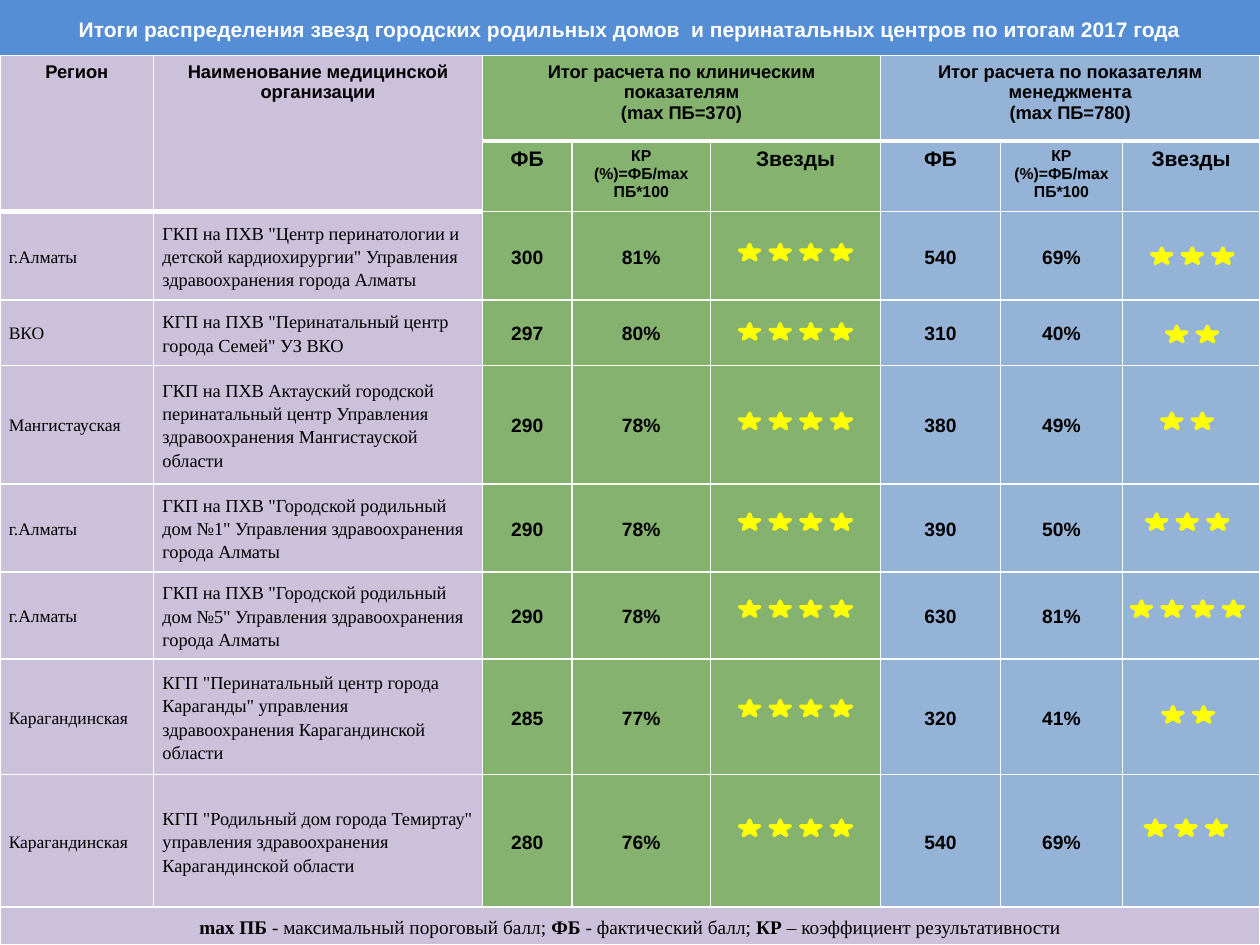
from pptx import Presentation
from pptx.dml.color import RGBColor
from pptx.enum.shapes import MSO_SHAPE
from pptx.enum.text import MSO_ANCHOR, PP_ALIGN
from pptx.oxml.ns import qn
from pptx.util import Inches, Pt
from lxml.etree import SubElement

COLORS = {"title": "558ED5", "name": "CCC1DA", "clinic": "85B26E", "manage": "95B3D7",
          "star": "FFFF00", "white": "FFFFFF", "black": "000000"}
SANS, SERIF = "Arial", "Times New Roman"

# Content
TITLE = "Итоги распределения звезд городских родильных домов  и перинатальных центров по итогам 2017 года"
# column: (rows spanned, columns spanned, lines)
HEADS = {
    0: (2, 1, ["Регион"]),
    1: (2, 1, ["Наименование медицинской организации"]),
    2: (1, 3, ["Итог расчета по клиническим показателям", "(mах ПБ=370)"]),
    5: (1, 3, ["Итог расчета по показателям менеджмента", "(mах ПБ=780)"]),
}
SUBHEADS = [("ФБ", 12), ("КР (%)=ФБ/mах ПБ*100", 9), ("Звезды", 12),
            ("ФБ", 12), ("КР (%)=ФБ/mахПБ*100", 9), ("Звезды", 12)]
# region, organisation, clinical score and rate, management score and rate
ROWS = [
    ("г.Алматы", "ГКП на ПХВ \"Центр перинатологии и детской кардиохирургии\" Управления "
     "здравоохранения города Алматы", "300", "81%", "540", "69%"),
    ("ВКО", "КГП на ПХВ \"Перинатальный центр города Семей\" УЗ ВКО", "297", "80%", "310", "40%"),
    ("Мангистауская", "ГКП на ПХВ Актауский городской перинатальный центр Управления "
     "здравоохранения Мангистауской области", "290", "78%", "380", "49%"),
    ("г.Алматы", "ГКП на ПХВ \"Городской родильный дом №1\" Управления здравоохранения "
     "города Алматы", "290", "78%", "390", "50%"),
    ("г.Алматы", "ГКП на ПХВ \"Городской родильный дом №5\" Управления здравоохранения "
     "города Алматы", "290", "78%", "630", "81%"),
    ("Карагандинская", "КГП \"Перинатальный центр города Караганды\" управления "
     "здравоохранения Карагандинской области", "285", "77%", "320", "41%"),
    ("Карагандинская", "КГП \"Родильный дом города Темиртау\" управления "
     "здравоохранения Карагандинской области", "280", "76%", "540", "69%"),
]
LEGEND = [("mах ПБ ", True), ("- максимальный пороговый балл; ", False), ("ФБ", True),
          (" - фактический балл; ", False), ("КР", True),
          (" – коэффициент результативности", False)]
# per row: clinical (count, left, top), management (count, left, top)
STARS = [
    ((4, 5.87, 1.94), (3, 9.14, 1.97)),
    ((4, 5.87, 2.57), (2, 9.26, 2.59)),
    ((4, 5.87, 3.28), (2, 9.22, 3.28)),
    ((4, 5.87, 4.08), (3, 9.10, 4.08)),
    ((4, 5.87, 4.77), (4, 8.98, 4.77)),
    ((4, 5.87, 5.56), (2, 9.23, 5.61)),
    ((4, 5.87, 6.51), (3, 9.09, 6.51)),
]
COL_W = [1.22, 2.61, 0.71, 1.1, 1.35, 0.95, 0.97, 1.09]
ROW_H = [0.68, 0.56, 0.7, 0.52, 0.94, 0.7, 0.69, 0.92, 1.05, 0.3]
COL_FILL = ["name"] * 2 + ["clinic"] * 3 + ["manage"] * 3
STAR_W, STAR_H, STAR_STEP = 0.16, 0.12, 0.243


def rgb(name):
    return RGBColor.from_string(COLORS[name])


def add_run(p, text, size, name=SANS, bold=True, color="black"):
    r = p.add_run()
    r.text = text
    for key, value in {"size": Pt(size), "name": name, "bold": bold}.items():
        setattr(r.font, key, value)
    r.font.color.rgb = rgb(color)


def style_cell(cell, fill, bottom):
    for side in ("L", "R", "T", "B"):
        width = bottom if side == "B" else 1
        ln = SubElement(cell._tc.get_or_add_tcPr(), qn(f"a:ln{side}"), w=str(Pt(width)))
        SubElement(SubElement(ln, qn("a:solidFill")), qn("a:srgbClr"), val=COLORS["white"])
    cell.fill.solid()
    cell.fill.fore_color.rgb = rgb(fill)


def body_paragraph(cell, align):
    for key, value in {"vertical_anchor": MSO_ANCHOR.MIDDLE,
                       "margin_left": Inches(0.07), "margin_right": Inches(0.07),
                       "margin_top": 0, "margin_bottom": 0}.items():
        setattr(cell, key, value)
    p = cell.text_frame.paragraphs[0]
    p.alignment, p.line_spacing = align, 1.15
    return p


prs = Presentation()
prs.slide_width, prs.slide_height = Inches(10), Inches(7.5)
s = prs.slides.add_slide(prs.slide_layouts[6])

# Title bar
bar = s.shapes.add_shape(MSO_SHAPE.RECTANGLE, 0, 0, Inches(10), Inches(0.47))
bar.shadow.inherit = False
bar.fill.solid()
bar.fill.fore_color.rgb = rgb("title")
bar.line.fill.background()
tf = bar.text_frame
tf.word_wrap, tf.vertical_anchor = True, MSO_ANCHOR.MIDDLE
p = tf.paragraphs[0]
p.alignment = PP_ALIGN.CENTER
add_run(p, TITLE, 12, color="white")

# Table grid
table = s.shapes.add_table(len(ROW_H), len(COL_W), 0, Inches(0.44), Inches(10),
                           Inches(sum(ROW_H))).table
for col, width in zip(table.columns, COL_W):
    col.width = Inches(width)
for i, height in enumerate(ROW_H):
    table.rows[i].height = Inches(height)
    for j, fill in enumerate(COL_FILL):
        last = i == len(ROW_H) - 1
        style_cell(table.cell(i, j), "name" if last else fill, 3 if i == 0 else 1)

# Table headings
for j, (down, across, lines) in HEADS.items():
    cell = table.cell(0, j)
    cell.merge(table.cell(down - 1, j + across - 1))
    for n, line in enumerate(lines):
        tf = cell.text_frame
        p = tf.add_paragraph() if n else tf.paragraphs[0]
        p.alignment = PP_ALIGN.CENTER
        add_run(p, line, 10.5)
for j, (text, size) in enumerate(SUBHEADS, 2):
    p = table.cell(1, j).text_frame.paragraphs[0]
    p.alignment = PP_ALIGN.CENTER
    add_run(p, text, size)

# Table body
for i, values in enumerate(ROWS, 2):
    for j, text in zip((0, 1, 2, 3, 5, 6), values):
        is_name = j < 2
        p = body_paragraph(table.cell(i, j), PP_ALIGN.LEFT if is_name else PP_ALIGN.CENTER)
        if is_name:
            add_run(p, text, (10, 10.5)[j], SERIF, False)
        else:
            add_run(p, text, 11)

# Legend row
legend = table.cell(len(ROW_H) - 1, 0)
legend.merge(table.cell(len(ROW_H) - 1, len(COL_W) - 1))
p = body_paragraph(legend, PP_ALIGN.CENTER)
for text, bold in LEGEND:
    add_run(p, text, 11, SERIF, bold)

# Star ratings
for pair in STARS:
    for count, left, top in pair:
        rating = s.shapes.add_group_shape()
        for n in range(count):
            star = rating.shapes.add_shape(MSO_SHAPE.STAR_5_POINT, Inches(left + n * STAR_STEP),
                                           Inches(top), Inches(STAR_W), Inches(STAR_H))
            star.shadow.inherit = False
            star.fill.solid()
            star.fill.fore_color.rgb = star.line.color.rgb = rgb("star")
            star.line.width = Pt(2)

prs.save("out.pptx")
